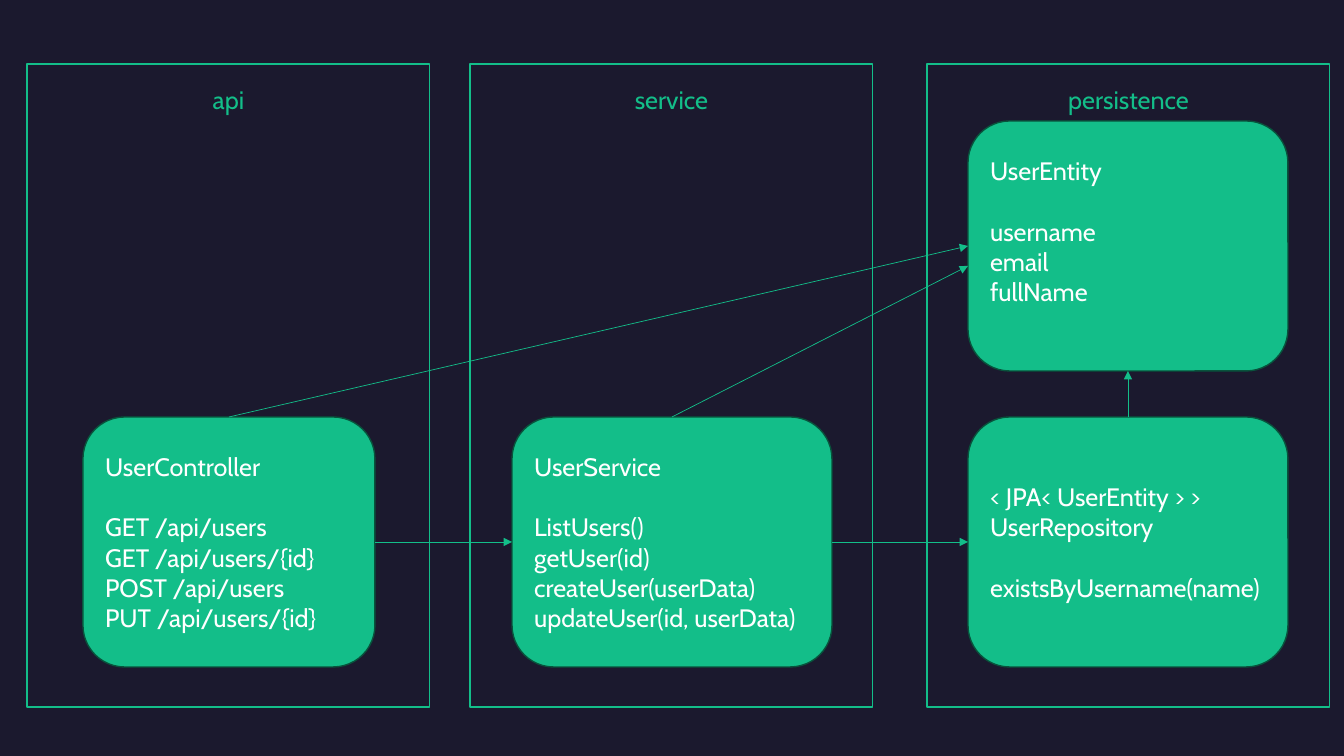
from pptx import Presentation
from pptx.dml.color import RGBColor as Rgb
from pptx.enum.shapes import MSO_CONNECTOR as Conn, MSO_SHAPE as Kind
from pptx.enum.text import MSO_ANCHOR as Anchor, PP_ALIGN as Align
from pptx.oxml.ns import qn
from pptx.util import Pt
from lxml.etree import SubElement as Sub

WIDE, HIGH = 1344, 756
SCALE = 12192000 / WIDE
FONT, SIZE, GAP = "Cabin", 18, 21.6
COLORS = {"back": "1B192E", "green": "13BE89", "edge": "08533C", "white": "FFFFFF"}
TOP, LEFT, BOTTOM, RIGHT = range(4)  # connection sites


def px(n):
    return round(n * SCALE)


def hue(name):
    return Rgb.from_string(COLORS[name])


def add_line(frame, text, color, align, first, gap=0):
    para = frame.paragraphs[0] if first else frame.add_paragraph()
    para.alignment = align
    para.space_before = Pt(gap)
    run = para.add_run()
    run.text = text
    run.font.name, run.font.size = FONT, Pt(SIZE)
    run.font.color.rgb = hue(color)


def add_block(slide, kind, area, edge, width):
    shape = slide.shapes.add_shape(kind, *map(px, area))
    shape.shadow.inherit = False
    shape.line.color.rgb = hue(edge)
    shape.line.width = Pt(width)
    shape.text_frame.word_wrap = True
    return shape


def add_layer(slide, x, name):
    shape = add_block(slide, Kind.RECTANGLE, (x, 64, 403, 643), "green", 0.75)
    shape.fill.background()
    frame = shape.text_frame
    frame.vertical_anchor = Anchor.TOP
    frame.margin_top = px(20)
    add_line(frame, name, "green", Align.CENTER, True)


def add_card(slide, x, y, w, groups, foot=5):
    shape = add_block(slide, Kind.ROUNDED_RECTANGLE, (x, y, w, 250), "edge", 1)
    shape.fill.solid()
    shape.fill.fore_color.rgb = hue("green")
    frame = shape.text_frame
    frame.vertical_anchor = Anchor.MIDDLE
    frame.margin_bottom = px(foot)
    for g, group in enumerate(groups):
        for i, text in enumerate(group):
            gap = GAP if g and not i else 0
            add_line(frame, text, "white", Align.LEFT, g == i == 0, gap)
    return shape


def add_arrow(slide, start, site, end, goal, drop=0):
    line = slide.shapes.add_connector(Conn.STRAIGHT, 0, 0, 0, 0)
    line.begin_connect(start, site)
    line.end_connect(end, goal)
    if drop:  # land below the site
        line.end_y += px(drop)
    line.line.color.rgb = hue("green")
    line.line.width = Pt(0.5)
    Sub(line.line._get_or_add_ln(), qn("a:tailEnd"), type="triangle")
    Sub(line._element.spPr, qn("a:effectLst"))


def main():
    deck = Presentation()
    deck.slide_width, deck.slide_height = px(WIDE), px(HIGH)
    slide = deck.slides.add_slide(deck.slide_layouts[6])
    slide.background.fill.solid()
    slide.background.fill.fore_color.rgb = hue("back")

    # Layers
    for x, name in ((27, "api"), (470, "service"), (927, "persistence")):
        add_layer(slide, x, name)

    # Classes
    control = add_card(slide, 83, 417, 292, (
        ["UserController"],
        ["GET /api/users", "GET /api/users/{id}",
         "POST /api/users", "PUT /api/users/{id}"]))
    service = add_card(slide, 512, 417, 320, (
        ["UserService"],
        ["ListUsers()", "getUser(id)",
         "createUser(userData)", "updateUser(id, userData)"]))
    store = add_card(slide, 968, 417, 320, (
        ["< JPA< UserEntity > >", "UserRepository"],
        ["existsByUsername(name)"]))
    entity = add_card(slide, 968, 121, 320, (
        ["UserEntity"], ["username", "email", "fullName"]), foot=35)

    # Dependencies
    add_arrow(slide, control, RIGHT, service, LEFT)
    add_arrow(slide, service, RIGHT, store, LEFT)
    add_arrow(slide, control, TOP, entity, LEFT)
    add_arrow(slide, service, TOP, entity, LEFT, drop=20)
    add_arrow(slide, store, TOP, entity, BOTTOM)

    deck.save("out.pptx")


if __name__ == "__main__":
    main()
